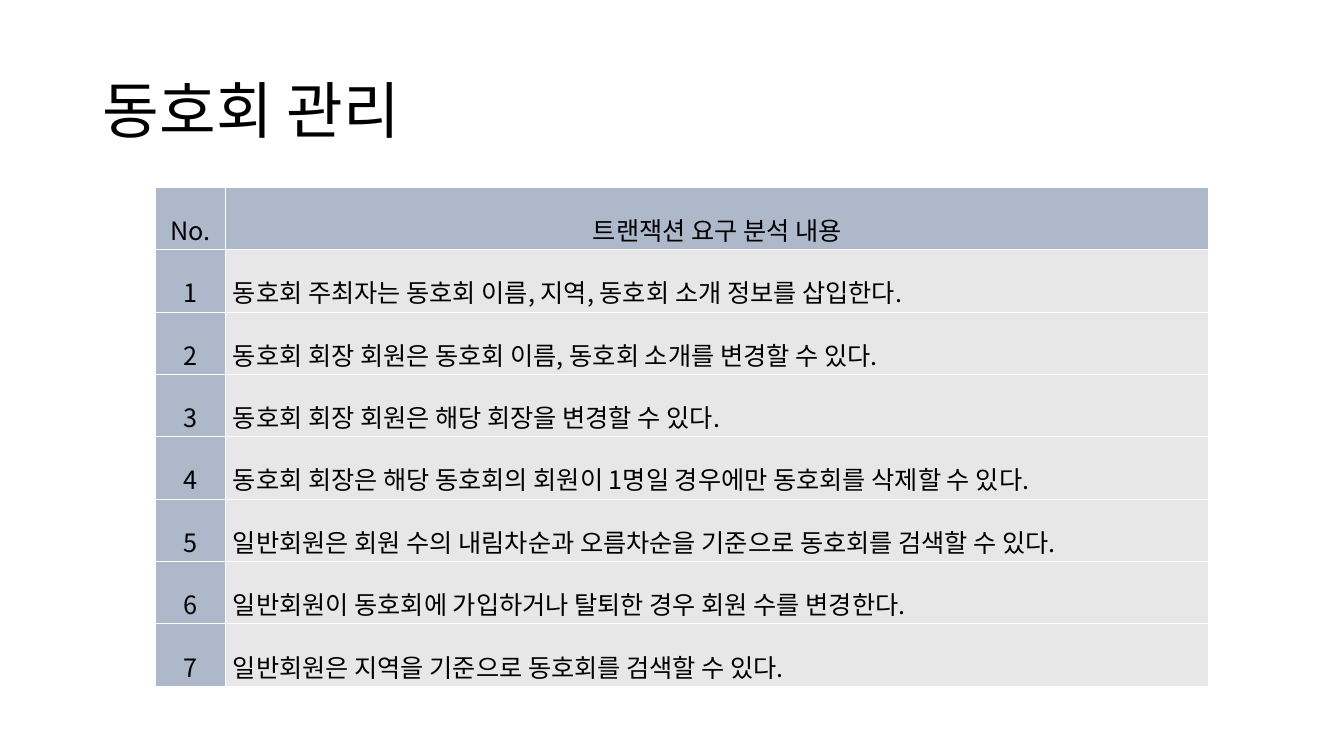
"""Build a slide listing the transaction requirements of club management."""
from lxml import etree
from pptx import Presentation
from pptx.dml.color import RGBColor
from pptx.enum.text import MSO_ANCHOR, PP_ALIGN
from pptx.oxml.ns import qn
from pptx.util import Inches, Pt

LEFT, CENTER, JUSTIFY = PP_ALIGN.LEFT, PP_ALIGN.CENTER, PP_ALIGN.JUSTIFY
MIDDLE = MSO_ANCHOR.MIDDLE

TITLE = "동호회 관리"
HEADER = ("No.", "트랜잭션 요구 분석 내용")
REQUIREMENTS = [
    "동호회 주최자는 동호회 이름, 지역, 동호회 소개 정보를 삽입한다. ",
    "동호회 회장 회원은 동호회 이름, 동호회 소개를 변경할 수 있다. ",
    "동호회 회장 회원은 해당 회장을 변경할 수 있다. ",
    "동호회 회장은 해당 동호회의 회원이 1명일 경우에만 동호회를 삭제할 수 있다. ",
    "일반회원은 회원 수의 내림차순과 오름차순을 기준으로 동호회를 검색할 수 있다. ",
    "일반회원이 동호회에 가입하거나 탈퇴한 경우 회원 수를 변경한다.",
    "일반회원은 지역을 기준으로 동호회를 검색할 수 있다.",
]
FONT = "Noto Sans CJK KR"
BLACK, WHITE, BLUE, GRAY = "000000", "FFFFFF", "ADB9CA", "E7E7E7"
TITLE_BOX = {"left": 0.92, "top": 0.4, "width": 11.5, "height": 1.45}
TABLE_LEFT, TABLE_TOP, TABLE_HEIGHT = 1.54, 1.86, 4.95
COLUMN_WIDTHS = (0.7, 9.75)
CELL_FORMAT = {
    "margin_left": Inches(0.07), "margin_right": Inches(0.07),
    "margin_top": Inches(0.02), "margin_bottom": Inches(0.02),
    "vertical_anchor": MIDDLE,
}


def color(value):
    return RGBColor.from_string(value)


def write(frame, text, size, align, spacing):
    para = frame.paragraphs[0]
    para.alignment, para.line_spacing = align, spacing
    span = para.add_run()
    span.text = text
    for name, value in {"name": FONT, "size": Pt(size), "bold": False}.items():
        setattr(span.font, name, value)
    span.font.color.rgb = color(BLACK)
    etree.SubElement(span.font._element, qn("a:ea"), typeface=FONT)


def add_borders(cell):
    properties = cell._tc.get_or_add_tcPr()
    for side in ("lnL", "lnR", "lnT", "lnB"):
        line = etree.SubElement(properties, qn(f"a:{side}"), w=str(Pt(1)))
        fill = etree.SubElement(line, qn("a:solidFill"))
        etree.SubElement(fill, qn("a:srgbClr"), val=WHITE)


def add_title(page):
    box = page.shapes.title
    for name, value in TITLE_BOX.items():
        setattr(box, name, Inches(value))
    box.text_frame.vertical_anchor = MIDDLE
    write(box.text_frame, TITLE, 44, LEFT, 0.9)


def add_requirements(page):
    rows = [HEADER] + [(str(number), text) for number, text in enumerate(REQUIREMENTS, 1)]
    table = page.shapes.add_table(
        len(rows), len(COLUMN_WIDTHS), Inches(TABLE_LEFT), Inches(TABLE_TOP),
        Inches(sum(COLUMN_WIDTHS)), Inches(TABLE_HEIGHT)).table
    for column, width in zip(table.columns, COLUMN_WIDTHS):
        column.width = Inches(width)
    for row_index, texts in enumerate(rows):
        for column_index, text in enumerate(texts):
            cell = table.cell(row_index, column_index)
            is_body = row_index > 0 and column_index > 0
            for name, value in CELL_FORMAT.items():
                setattr(cell, name, value)
            add_borders(cell)
            cell.fill.solid()
            cell.fill.fore_color.rgb = color(GRAY if is_body else BLUE)
            write(cell.text_frame, text, 18, JUSTIFY if is_body else CENTER, 1.6)


def main():
    deck = Presentation()
    deck.slide_width, deck.slide_height = Inches(13.33), Inches(7.5)
    page = deck.slides.add_slide(deck.slide_layouts[5])
    add_title(page)
    add_requirements(page)
    deck.save("out.pptx")


if __name__ == "__main__":
    main()
